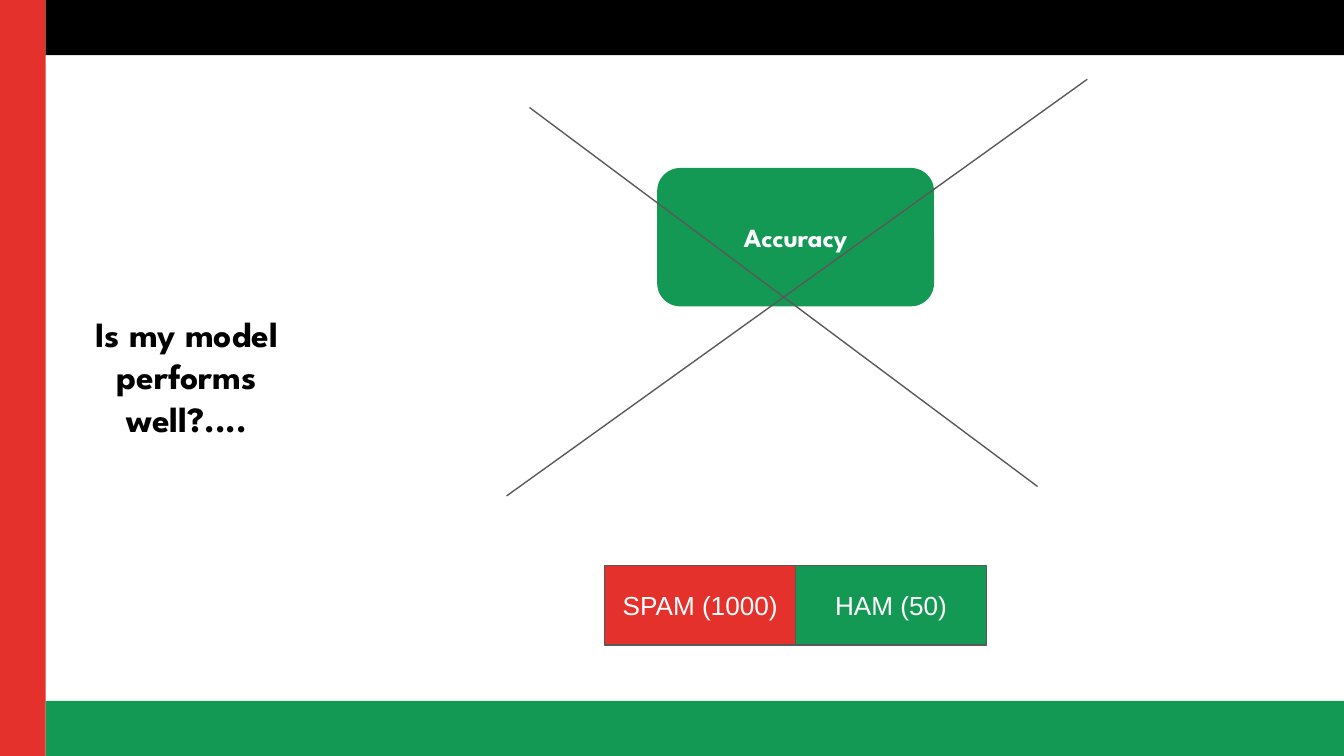
"""Build a slide that rules out accuracy as a measure for unbalanced classes."""
from dataclasses import dataclass
from typing import Optional

import pptx
import pptx.dml.color
import pptx.enum.shapes
import pptx.enum.text
import pptx.oxml
import pptx.slide
import pptx.util

Inches = pptx.util.Inches
Pt = pptx.util.Pt
SHAPES = pptx.enum.shapes.MSO_SHAPE

COLORS = {
    "red": "E4312B",
    "green": "149954",
    "black": "000000",
    "white": "FFFFFF",
    "gray": "595959",
}
WIDTH = 10
HEIGHT = WIDTH * 9 / 16
SIDE, BAND = 0.34, 0.41
CLASS_LEFT, CLASS_TOP, CLASS_WIDTH, CLASS_HEIGHT = 4.5, 4.21, 1.42, 0.59
LINE_WIDTH = 0.75
HEADING_FONT, BODY_FONT = "League Spartan", "Arial"


@dataclass(frozen=True)
class Label:
    text: str
    size: float
    font: str
    color: str = "white"
    bold: bool = False


@dataclass(frozen=True)
class Box:
    left: float
    top: float
    width: float
    height: float
    fill: Optional[str] = None
    line: Optional[str] = None
    label: Optional[Label] = None
    shape: SHAPES = SHAPES.RECTANGLE


@dataclass(frozen=True)
class Stroke:
    x1: float
    y1: float
    x2: float
    y2: float


def rgb(name: str) -> pptx.dml.color.RGBColor:
    """Return the named colour."""
    return pptx.dml.color.RGBColor.from_string(COLORS[name])


def write_label(tf, label: Label) -> None:
    """Write a centred label into a text frame."""
    frame_format = {
        "word_wrap": True,
        "vertical_anchor": pptx.enum.text.MSO_ANCHOR.MIDDLE,
        **{f"margin_{side}": Inches(0.1) for side in ("left", "right", "top", "bottom")},
    }
    for name, value in frame_format.items():
        setattr(tf, name, value)
    p = tf.paragraphs[0]
    p.alignment = pptx.enum.text.PP_ALIGN.CENTER
    r = p.add_run()
    r.text = label.text
    font_format = {"size": Pt(label.size), "name": label.font, "bold": label.bold}
    for name, value in font_format.items():
        setattr(r.font, name, value)
    r.font.color.rgb = rgb(label.color)


def draw_box(s: pptx.slide.Slide, box: Box) -> None:
    """Draw a filled shape, or a text box when there is no fill."""
    place = [Inches(v) for v in (box.left, box.top, box.width, box.height)]
    if box.fill:
        sp = s.shapes.add_shape(box.shape, *place)
        sp.shadow.inherit = False
        sp.fill.solid()
        sp.fill.fore_color.rgb = rgb(box.fill)
        if box.line:
            sp.line.color.rgb = rgb(box.line)
            sp.line.width = Pt(LINE_WIDTH)
        else:
            sp.line.fill.background()
    else:
        sp = s.shapes.add_textbox(*place)
    if box.label:
        write_label(sp.text_frame, box.label)


def draw_stroke(s: pptx.slide.Slide, stroke: Stroke) -> None:
    """Draw one straight line of the cross."""
    ends = [Inches(v) for v in (stroke.x1, stroke.y1, stroke.x2, stroke.y2)]
    line = s.shapes.add_connector(pptx.enum.shapes.MSO_CONNECTOR.STRAIGHT, *ends)
    line.line.color.rgb = rgb("gray")
    line.line.width = Pt(LINE_WIDTH)
    effects = pptx.oxml.parse_xml(
        '<a:effectLst xmlns:a="http://schemas.openxmlformats.org/drawingml/2006/main"/>'
    )
    line._element.spPr.append(effects)


def main() -> None:
    """Build and save the slide."""
    prs = pptx.Presentation()
    prs.slide_width, prs.slide_height = Inches(WIDTH), Inches(HEIGHT)
    s = prs.slides.add_slide(prs.slide_layouts[6])

    frame = [
        Box(0, 0, SIDE, HEIGHT, "red"),
        Box(SIDE, 0, WIDTH - SIDE, BAND, "black"),
        Box(SIDE, HEIGHT - BAND, WIDTH - SIDE, BAND, "green"),
    ]
    question = Label("Is my model performs well?....", 19, HEADING_FONT, "black", True)
    metric = Label("Accuracy", 14, HEADING_FONT, bold=True)
    content = [
        Box(0.44, 0.72, 1.9, 4.15, label=question),
        Box(4.89, 1.25, 2.06, 1.03, "green", label=metric, shape=SHAPES.ROUNDED_RECTANGLE),
    ]
    classes = [
        Box(CLASS_LEFT + i * CLASS_WIDTH, CLASS_TOP, CLASS_WIDTH, CLASS_HEIGHT,
            fill, "gray", Label(text, 14, BODY_FONT))
        for i, (text, fill) in enumerate([("SPAM (1000)", "red"), ("HAM (50)", "green")])
    ]
    for box in frame + content + classes:
        draw_box(s, box)
    for stroke in (Stroke(3.94, 0.8, 7.72, 3.62), Stroke(3.77, 3.69, 8.09, 0.59)):
        draw_stroke(s, stroke)

    prs.save("out.pptx")


if __name__ == "__main__":
    main()
